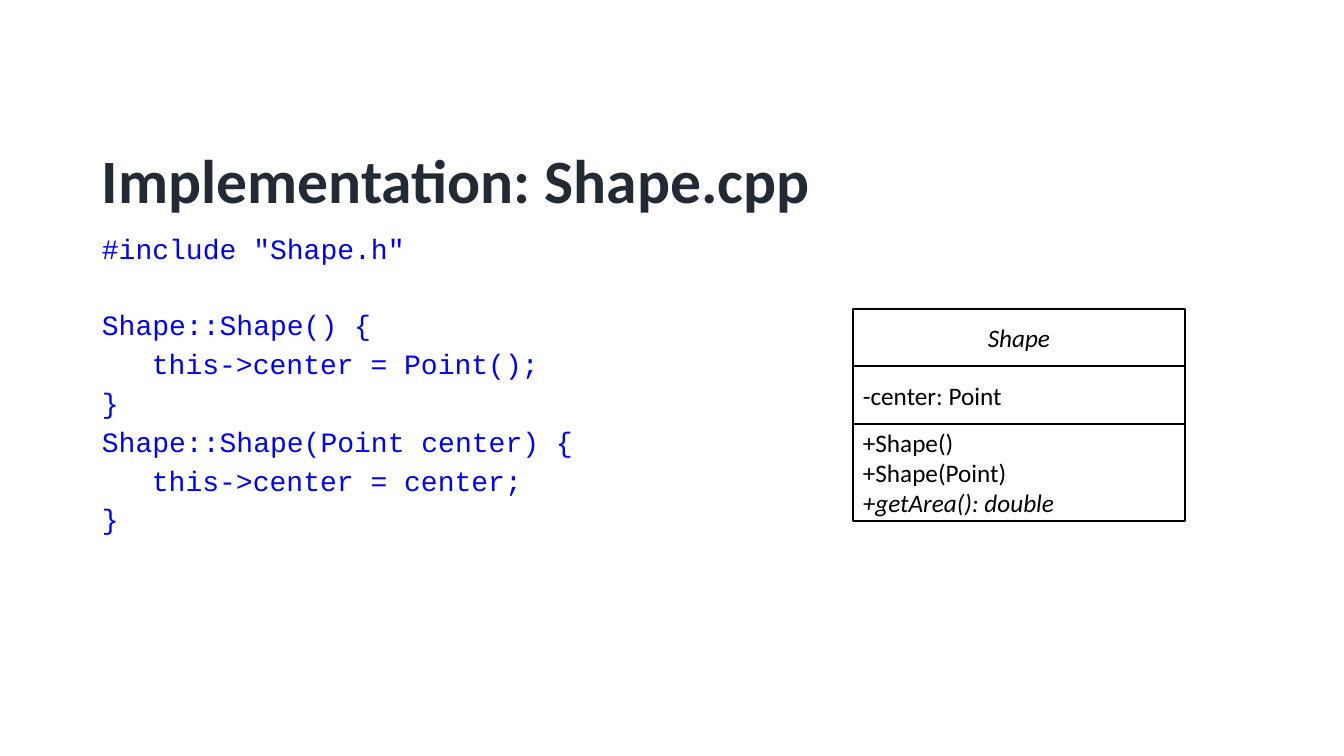
from pptx import Presentation
from pptx import util as u
from pptx.dml.color import RGBColor
from pptx.enum import shapes, text

PX_PER_INCH = 100.8
BLACK = RGBColor(0x00, 0x00, 0x00)
SLATE = RGBColor(0x22, 0x2A, 0x35)
BLUE = RGBColor(0x00, 0x00, 0xFF)

CODE_INDENT = 50
LINE_GAP = 6.2
BLANK_LINE_GAP = 32.8
CODE = [
    ('#include "Shape.h"', 0, 0),
    ("Shape::Shape() {", 0, BLANK_LINE_GAP),
    ("this->center = Point();", CODE_INDENT, LINE_GAP),
    ("}", 0, LINE_GAP),
    ("Shape::Shape(Point center) {", 0, LINE_GAP),
    ("this->center = center;", CODE_INDENT, LINE_GAP),
    ("}", 0, LINE_GAP),
]

CLASS_LEFT, CLASS_TOP, CLASS_WIDTH = 853, 309, 332
COMPARTMENTS = [
    (57, text.PP_ALIGN.CENTER, [("Shape", True)]),
    (58, text.PP_ALIGN.LEFT, [("-center: Point", False)]),
    (97, text.PP_ALIGN.LEFT, [
        ("+Shape()", False),
        ("+Shape(Point)", False),
        ("+getArea(): double", True),
    ]),
]


def px(length):
    return u.Emu(round(length * 914400 / PX_PER_INCH))


def add_run(paragraph, words, font, size, color, bold=False, italic=False):
    run = paragraph.add_run()
    run.text = words
    run.font.name = font
    run.font.size = u.Pt(size)
    run.font.color.rgb = color
    run.font.bold = bold
    run.font.italic = italic


def next_paragraph(frame, index):
    return frame.add_paragraph() if index else frame.paragraphs[0]


def add_text_frame(slide, left, top, width, height):
    box = slide.shapes.add_textbox(px(left), px(top), px(width), px(height))
    box.text_frame.word_wrap = True
    return box.text_frame


def add_title(slide, words):
    frame = add_text_frame(slide, 92, 145, 1159, 68)
    paragraph = frame.paragraphs[0]
    paragraph.line_spacing = 0.9
    add_run(paragraph, words, "Calibri", 44, SLATE, bold=True)


def add_code(slide, lines):
    frame = add_text_frame(slide, 92, 230, 580, 476)
    for index, (words, indent, gap) in enumerate(lines):
        paragraph = next_paragraph(frame, index)
        paragraph.line_spacing = 0.9
        paragraph.space_before = u.Pt(gap)
        properties = paragraph._p.get_or_add_pPr()
        properties.set("marL", str(px(indent)))
        properties.set("indent", "0")
        add_run(paragraph, words, "Courier New", 20, BLUE)


def add_compartment(group, top, height, alignment, members):
    shape = group.shapes.add_shape(
        shapes.MSO_SHAPE.RECTANGLE,
        px(CLASS_LEFT), px(top), px(CLASS_WIDTH), px(height))
    shape.shadow.inherit = False
    shape.fill.background()
    shape.line.color.rgb = BLACK
    shape.line.width = u.Pt(1)
    frame = shape.text_frame
    frame.word_wrap = True
    frame.vertical_anchor = text.MSO_ANCHOR.MIDDLE
    for index, (words, italic) in enumerate(members):
        paragraph = next_paragraph(frame, index)
        paragraph.alignment = alignment
        add_run(paragraph, words, "Calibri", 18, BLACK, italic=italic)


def add_class_diagram(slide, compartments):
    group = slide.shapes.add_group_shape()
    top = CLASS_TOP
    for height, alignment, members in compartments:
        add_compartment(group, top, height, alignment, members)
        top += height


def main():
    presentation = Presentation()
    presentation.slide_width = px(1344)
    presentation.slide_height = px(756)
    slide = presentation.slides.add_slide(presentation.slide_layouts[6])
    add_title(slide, "Implementation: Shape.cpp")
    add_code(slide, CODE)
    add_class_diagram(slide, COMPARTMENTS)
    presentation.save("out.pptx")


if __name__ == "__main__":
    main()
